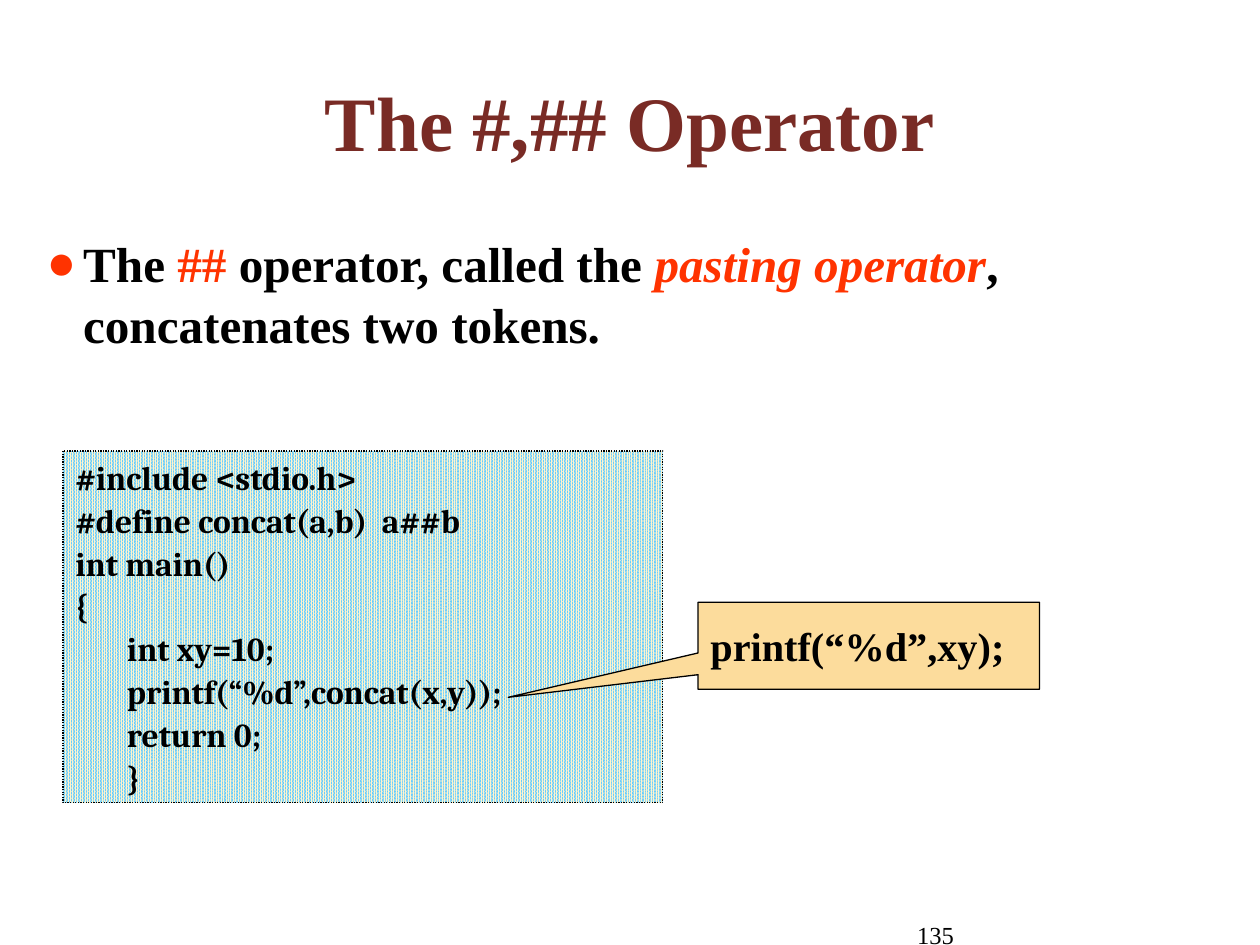
from dataclasses import dataclass

import pptx
import pptx.util
from lxml import etree
from pptx.dml.color import RGBColor
from pptx.enum.dml import MSO_LINE, MSO_PATTERN
from pptx.enum.shapes import MSO_SHAPE
from pptx.enum.text import MSO_ANCHOR, MSO_AUTO_SIZE, PP_ALIGN
from pptx.oxml.ns import qn
from pptx.util import Inches


@dataclass(frozen=True)
class Theme:
    text_font: str = "Times New Roman"
    code_font: str = "Cambria"
    black: str = "000000"
    white: str = "FFFFFF"
    title: str = "792B25"
    accent: str = "FF3300"
    code_light: str = "FEF4CE"
    code_blue: str = "66CCFF"
    callout: str = "FCDC9C"
    title_size: float = 44
    body_size: float = 28.1
    code_size: float = 19.1
    callout_size: float = 23
    number_size: float = 14


THEME = Theme()


def color(value):
    return RGBColor.from_string(value)


def place(shape, left, top, width, height):
    shape.left, shape.top = Inches(left), Inches(top)
    shape.width, shape.height = Inches(width), Inches(height)


def prepare_frame(shape, anchor=MSO_ANCHOR.TOP, wrap=True):
    frame = shape.text_frame
    frame.word_wrap = wrap
    frame.auto_size = MSO_AUTO_SIZE.NONE
    frame.vertical_anchor = anchor
    return frame


def write(paragraph, text, size, font=THEME.text_font, fill=THEME.black,
          bold=True, italic=False, align=PP_ALIGN.LEFT):
    paragraph.alignment = align
    run = paragraph.add_run()
    run.text = text
    run.font.name = font
    run.font.size = pptx.util.Pt(size)
    run.font.bold = bold
    run.font.italic = italic
    run.font.color.rgb = color(fill)


def indent(paragraph, left, first=0):
    properties = paragraph._p.get_or_add_pPr()
    properties.set("marL", str(Inches(left)))
    properties.set("indent", str(Inches(first)))
    return properties


def add_bullet(paragraph, character, fill):
    properties = indent(paragraph, 0.29, -0.29)
    bullet_color = etree.SubElement(properties, qn("a:buClr"))
    etree.SubElement(bullet_color, qn("a:srgbClr"), val=fill)
    etree.SubElement(properties, qn("a:buChar"), char=character)


def add_outlined_shape(slide, preset, left, top, width, height):
    shape = slide.shapes.add_shape(preset, Inches(left), Inches(top),
                                   Inches(width), Inches(height))
    shape.shadow.inherit = False
    shape.line.color.rgb = color(THEME.black)
    shape.line.width = pptx.util.Pt(0.75)
    return shape


def fill_title(slide):
    title = slide.shapes.title
    place(title, 0.5, 0.42, 9, 1.08)
    frame = prepare_frame(title, MSO_ANCHOR.MIDDLE)
    write(frame.paragraphs[0], "The #,## Operator", THEME.title_size,
          fill=THEME.title, align=PP_ALIGN.CENTER)


def fill_body(slide):
    body = slide.placeholders[1]
    place(body, 0.27, 1.78, 9.34, 1.28)
    paragraph = prepare_frame(body).paragraphs[0]
    add_bullet(paragraph, "●", THEME.accent)
    paragraph.space_before = pptx.util.Pt(0)
    paragraph.line_spacing = 1.04
    write(paragraph, "The ", THEME.body_size)
    write(paragraph, "##", THEME.body_size, fill=THEME.accent)
    write(paragraph, " operator, called the ", THEME.body_size)
    write(paragraph, "pasting operator", THEME.body_size, fill=THEME.accent, italic=True)
    write(paragraph, ", concatenates two tokens.", THEME.body_size)


def add_code(slide, lines):
    """Add the code box from (text, left indent) pairs."""
    box = add_outlined_shape(slide, MSO_SHAPE.RECTANGLE, 0.5, 3.58, 4.76, 2.79)
    box.line.dash_style = MSO_LINE.ROUND_DOT
    box.fill.patterned()
    box.fill.pattern = MSO_PATTERN.PERCENT_90
    box.fill.fore_color.rgb = color(THEME.code_light)
    box.fill.back_color.rgb = color(THEME.code_blue)
    frame = prepare_frame(box)
    for index, (text, left) in enumerate(lines):
        paragraph = frame.add_paragraph() if index else frame.paragraphs[0]
        indent(paragraph, left)
        paragraph.space_before = pptx.util.Pt(1.5 if index else 0)
        write(paragraph, text, THEME.code_size, font=THEME.code_font)


def add_callout(slide, text):
    callout = add_outlined_shape(slide, MSO_SHAPE.RECTANGULAR_CALLOUT,
                                 5.54, 4.78, 2.71, 0.69)
    callout.adjustments[0] = -1.056
    callout.adjustments[1] = 0.593
    callout.fill.solid()
    callout.fill.fore_color.rgb = color(THEME.callout)
    frame = prepare_frame(callout, MSO_ANCHOR.MIDDLE)
    write(frame.paragraphs[0], text, THEME.callout_size)


def add_page_number(slide, number):
    box = slide.shapes.add_textbox(Inches(6.75), Inches(7.25), Inches(0.92), Inches(0.25))
    write(prepare_frame(box).paragraphs[0], number, THEME.number_size,
          bold=False, align=PP_ALIGN.RIGHT)


def main():
    presentation = pptx.Presentation()
    presentation.slide_width, presentation.slide_height = Inches(10), Inches(7.5)
    slide = presentation.slides.add_slide(presentation.slide_layouts[1])
    slide.background.fill.solid()
    slide.background.fill.fore_color.rgb = color(THEME.white)

    add_page_number(slide, "135")
    fill_title(slide)
    fill_body(slide)
    outer, inner = 0, 0.41
    add_code(slide, [
        ("#include <stdio.h>", outer),
        ("#define concat(a,b)  a##b", outer),
        ("int main()", outer),
        ("{", outer),
        ("int xy=10;", inner),
        ("printf(“%d”,concat(x,y));", inner),
        ("return 0;", inner),
        ("}", inner),
    ])
    add_callout(slide, "printf(“%d”,xy);")
    presentation.save("out.pptx")


if __name__ == "__main__":
    main()
